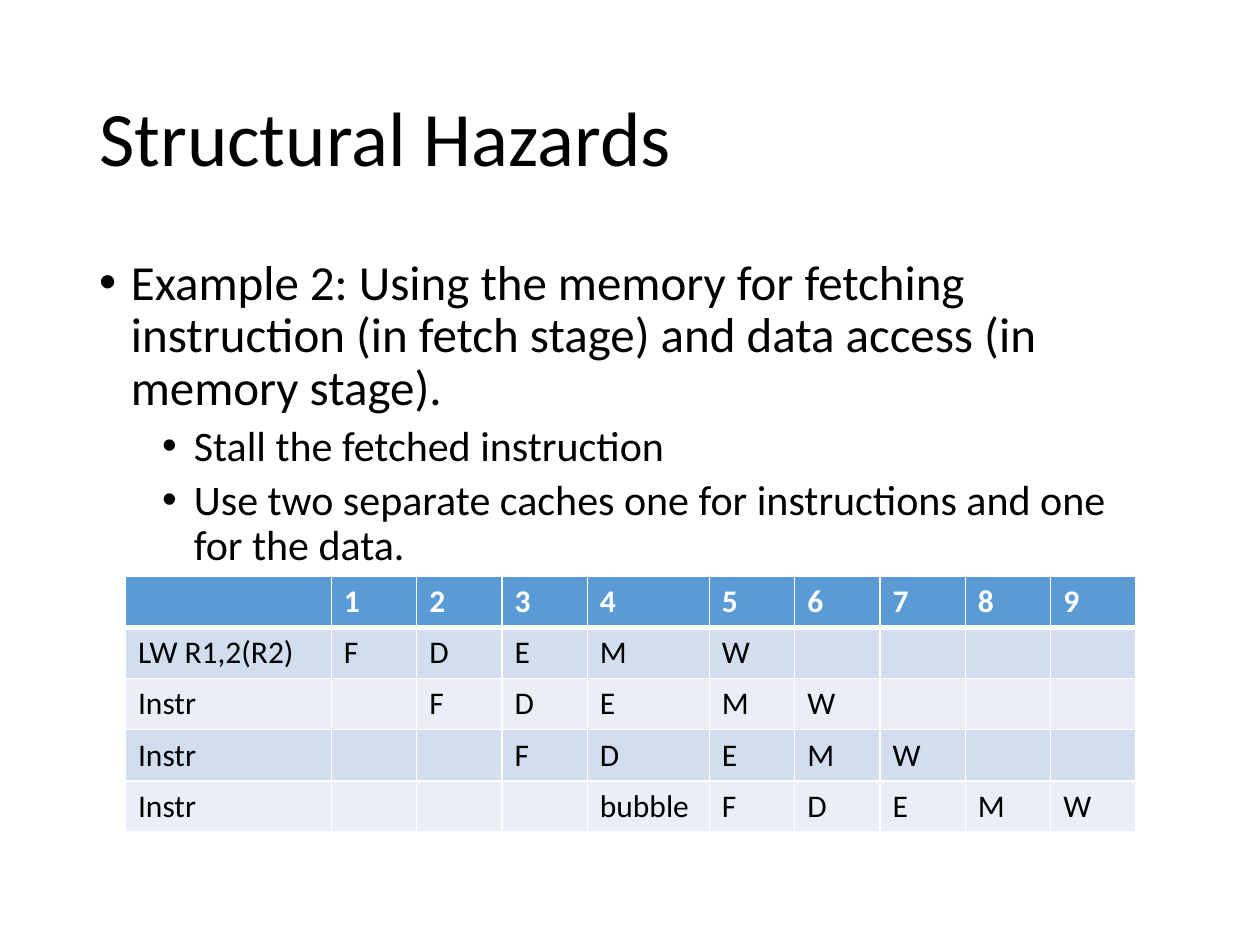
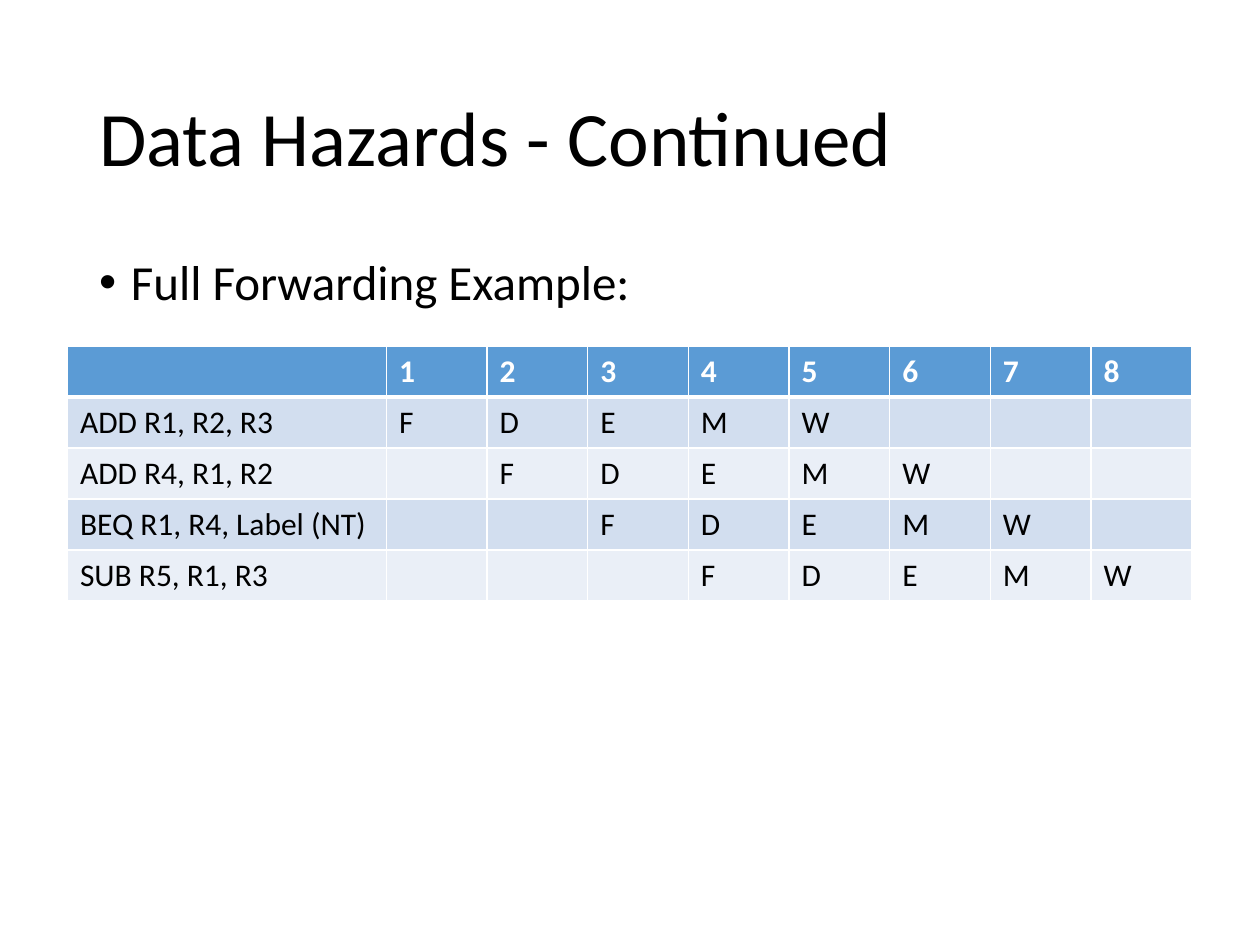
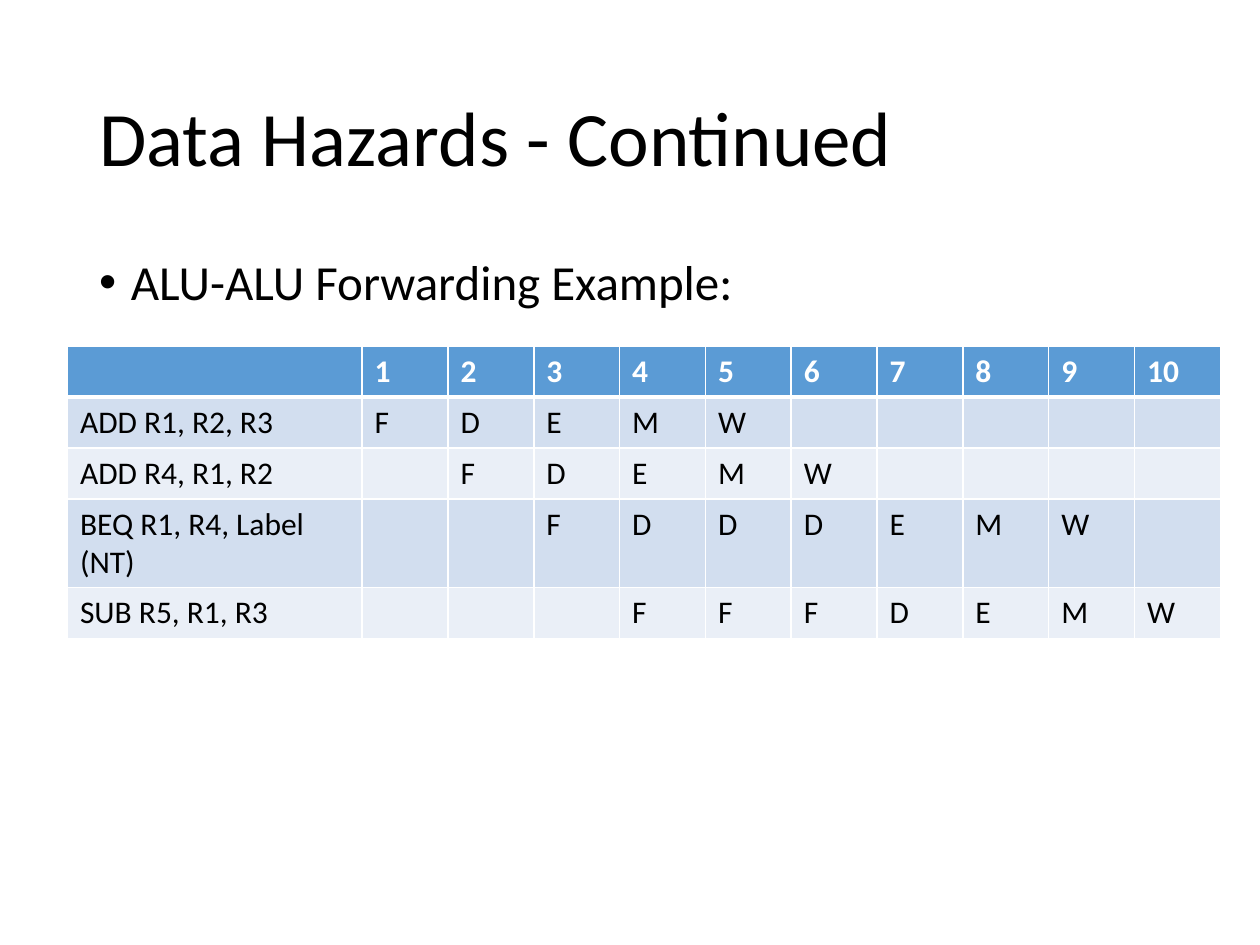
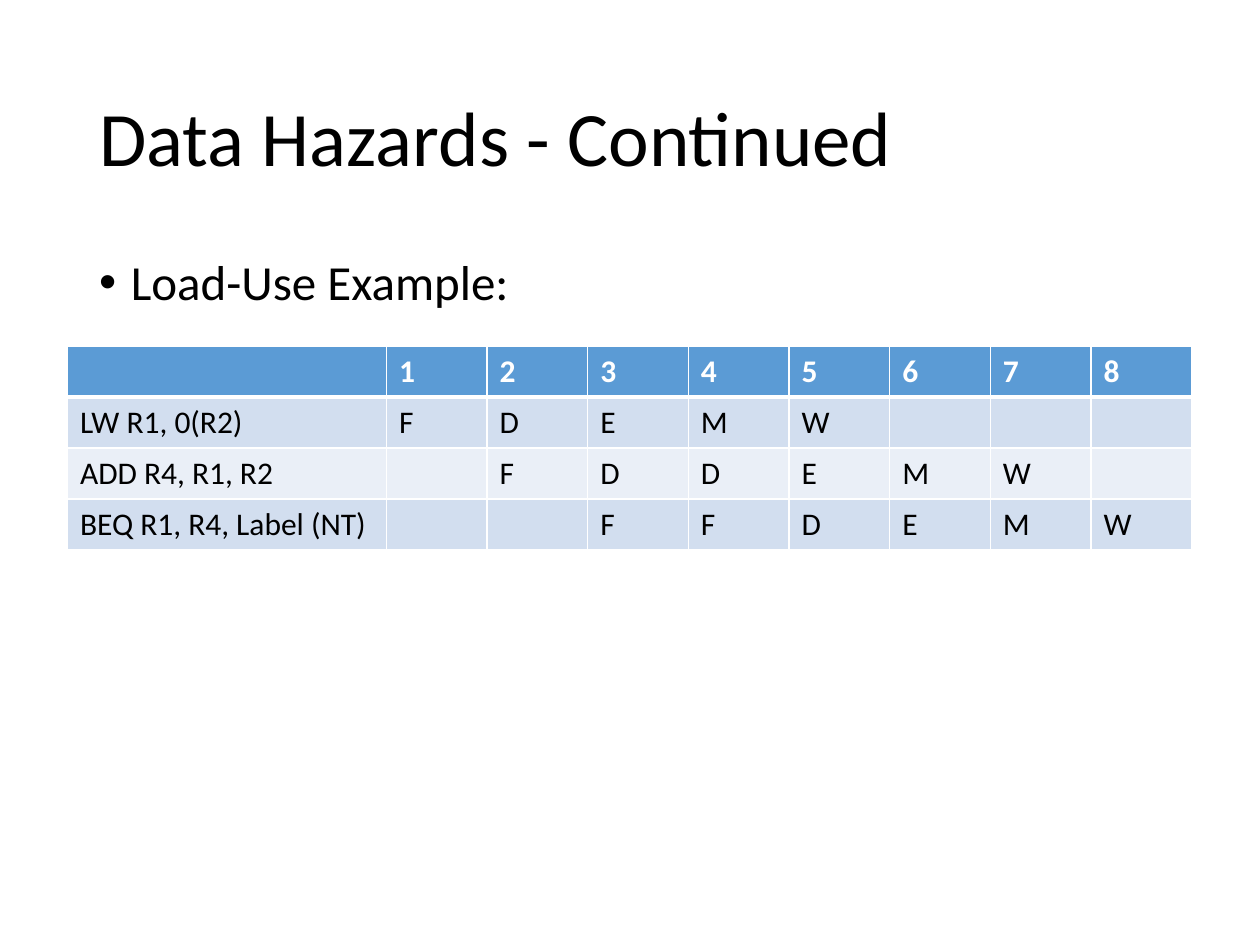
from lxml import etree
from pptx import Presentation
from pptx import util as u
from pptx.dml.color import RGBColor
from pptx.enum import text
from pptx.oxml.ns import qn

COLOURS = {
    "text": "000000",
    "header": "5B9BD5",
    "header text": "FFFFFF",
    "border": "FFFFFF",
    "odd row": "D2DEEF",
    "even row": "EAEFF7",
}
TITLE_FORMAT = {"name": "Calibri", "size": u.Pt(44)}
BULLET_FORMATS = [
    {"name": "Calibri", "size": u.Pt(28)},
    {"name": "Calibri", "size": u.Pt(24)},
]
BULLET_SPACES = [u.Pt(10), u.Pt(5)]
HEADER_FORMAT = {"name": "Calibri", "size": u.Pt(18), "bold": True}
CELL_FORMAT = {**HEADER_FORMAT, "bold": False}

MARGIN, CONTENT_WIDTH = u.Cm(1.75), u.Cm(21.9)
BULLET_INDENT, LEVEL_INDENT = u.Cm(0.64), u.Cm(1.27)
ROW_HEIGHT = u.Cm(1.03)
THIN, THICK = u.Pt(1), u.Pt(3)

# Each pipeline row is (instruction, first cycle, stages from that cycle on).
SLIDES = [
    {
        "title": "Structural Hazards",
        "bullets": [
            (0, "Example 2: Using the memory for fetching instruction (in fetch stage) "
                "and data access (in memory stage)."),
            (1, "Stall the fetched instruction"),
            (1, "Use two separate caches one for instructions and one for the data."),
        ],
        "body_height": u.Cm(6.55),
        "position": (u.Cm(2.53), u.Cm(11.62)),
        "widths": [4.15] + 3 * [1.72] + [2.46] + 5 * [1.72],
        "pipeline": [
            ("LW R1,2(R2)", 1, "F D E M W"),
            ("Instr", 2, "F D E M W"),
            ("Instr", 3, "F D E M W"),
            ("Instr", 4, "bubble F D E M W"),
        ],
    },
    {
        "title": "Data Hazards - Continued",
        "bullets": [(0, "Full Forwarding Example:")],
        "widths": [6.43] + 8 * [2.03],
        "pipeline": [
            ("ADD R1, R2, R3", 1, "F D E M W"),
            ("ADD R4, R1, R2", 2, "F D E M W"),
            ("BEQ R1, R4, Label (NT)", 3, "F D E M W"),
            ("SUB R5, R1, R3", 4, "F D E M W"),
        ],
    },
    {
        "title": "Data Hazards - Continued",
        "bullets": [(0, "ALU-ALU Forwarding Example:")],
        "widths": [5.94] + 10 * [1.73],
        "pipeline": [
            ("ADD R1, R2, R3", 1, "F D E M W"),
            ("ADD R4, R1, R2", 2, "F D E M W"),
            ("BEQ R1, R4, Label (NT)", 3, "F D D D E M W"),
            ("SUB R5, R1, R3", 4, "F F F D E M W"),
        ],
    },
    {
        "title": "Data Hazards - Continued",
        "bullets": [(0, "Load-Use Example:")],
        "widths": [6.43] + 8 * [2.03],
        "pipeline": [
            ("LW R1, 0(R2)", 1, "F D E M W"),
            ("ADD R4, R1, R2", 2, "F D D E M W"),
            ("BEQ R1, R4, Label (NT)", 3, "F F D E M W"),
        ],
    },
]


def write(paragraph, content, formats, colour="text"):
    run = paragraph.add_run()
    run.text = content
    for name, value in formats.items():
        setattr(run.font, name, value)
    run.font.color.rgb = RGBColor.from_string(COLOURS[colour])


def add_text_frame(slide, top, height, anchor):
    frame = slide.shapes.add_textbox(MARGIN, top, CONTENT_WIDTH, height).text_frame
    frame.word_wrap = True
    frame.vertical_anchor = anchor
    return frame


def add_title(slide, title):
    frame = add_text_frame(slide, u.Cm(1.01), u.Cm(3.68), text.MSO_ANCHOR.MIDDLE)
    paragraph = frame.paragraphs[0]
    paragraph.line_spacing = 0.9
    write(paragraph, title, TITLE_FORMAT)


def add_bullets(slide, bullets, height):
    frame = add_text_frame(slide, u.Cm(5.07), height, text.MSO_ANCHOR.TOP)
    for index, (level, content) in enumerate(bullets):
        paragraph = frame.add_paragraph() if index else frame.paragraphs[0]
        paragraph.level = level
        paragraph.line_spacing = 0.9
        paragraph.space_before = BULLET_SPACES[level]
        properties = paragraph._p.get_or_add_pPr()
        properties.set("marL", str(BULLET_INDENT + level * LEVEL_INDENT))
        properties.set("indent", str(-BULLET_INDENT))
        etree.SubElement(properties, qn("a:buFont"), typeface="Arial")
        etree.SubElement(properties, qn("a:buChar"), char="•")
        write(paragraph, content, BULLET_FORMATS[level])


def set_borders(cell, top, bottom):
    properties = cell._tc.get_or_add_tcPr()
    for side, width in (("L", THIN), ("R", THIN), ("T", top), ("B", bottom)):
        line = etree.SubElement(properties, qn(f"a:ln{side}"), w=str(width))
        fill = etree.SubElement(line, qn("a:solidFill"))
        etree.SubElement(fill, qn("a:srgbClr"), val=COLOURS["border"])


def style_cell(cell, row):
    # Borders must come before the fill in the cell properties.
    set_borders(cell, THICK if row == 1 else THIN, THICK if row == 0 else THIN)
    fill = "header" if row == 0 else "odd row" if row % 2 else "even row"
    cell.fill.solid()
    cell.fill.fore_color.rgb = RGBColor.from_string(COLOURS[fill])


def add_pipeline_table(slide, pipeline, widths, position):
    """Draw instructions down the side and clock cycles along the top."""
    rows = [("", 1, " ".join(str(cycle) for cycle in range(1, len(widths))))] + pipeline
    frame = slide.shapes.add_table(
        len(rows), len(widths), *position, u.Cm(sum(widths)), ROW_HEIGHT * len(rows))
    table = frame.table
    for column, width in zip(table.columns, widths):
        column.width = u.Cm(width)
    for row, (instruction, first_cycle, stages) in enumerate(rows):
        table.rows[row].height = ROW_HEIGHT
        contents = {0: instruction, **dict(enumerate(stages.split(), first_cycle))}
        for column in range(len(widths)):
            cell = table.cell(row, column)
            style_cell(cell, row)
            if contents.get(column):
                write(cell.text_frame.paragraphs[0], contents[column],
                      CELL_FORMAT if row else HEADER_FORMAT,
                      "text" if row else "header text")


def add_hazard_slide(presentation, title, bullets, pipeline, widths,
                     body_height=u.Cm(1.52), position=(u.Cm(1.36), u.Cm(6.97))):
    slide = presentation.slides.add_slide(presentation.slide_layouts[6])
    add_title(slide, title)
    add_bullets(slide, bullets, body_height)
    add_pipeline_table(slide, pipeline, widths, position)


def main():
    presentation = Presentation()
    presentation.slide_width, presentation.slide_height = u.Cm(25.4), u.Cm(19.05)
    for content in SLIDES:
        add_hazard_slide(presentation, **content)
    presentation.save("out.pptx")


if __name__ == "__main__":
    main()
